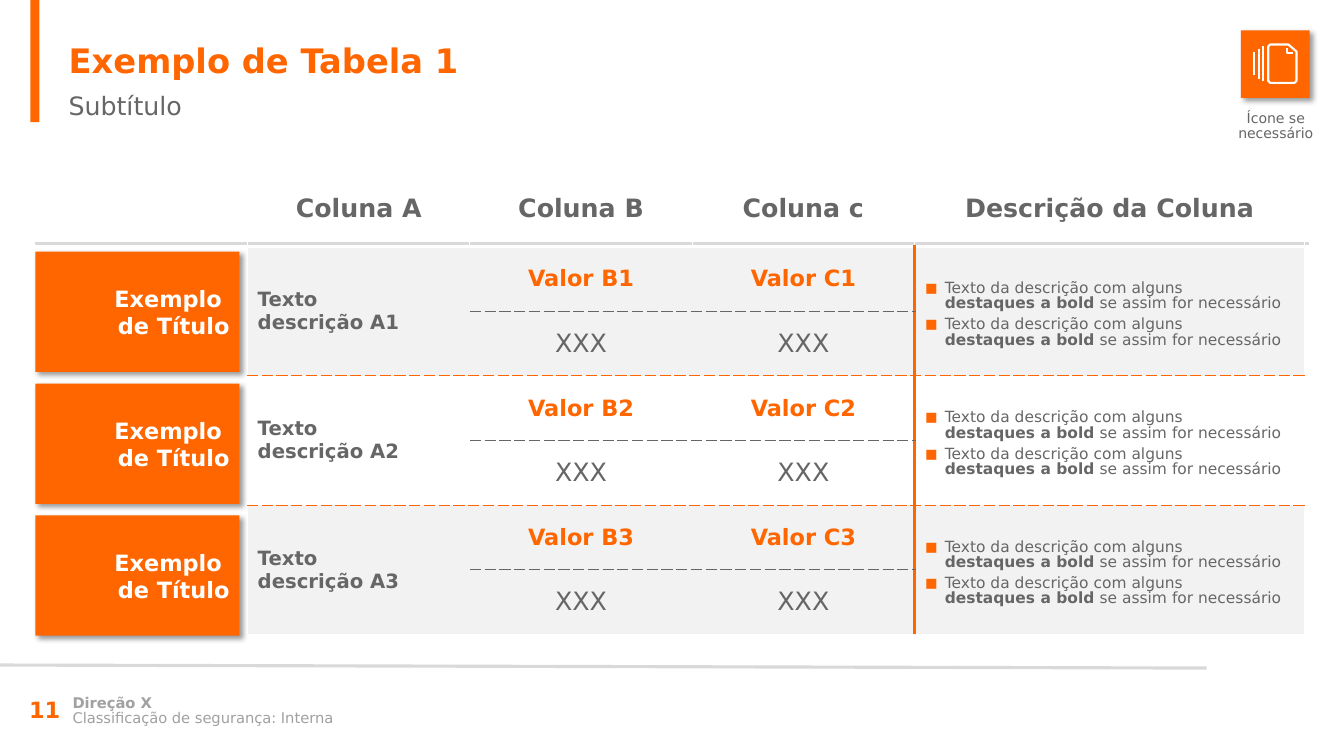
import copy

import lxml.etree
import pptx
import pptx.dml.color
import pptx.enum.shapes
import pptx.enum.text
import pptx.oxml
import pptx.oxml.ns
import pptx.util

Inches = pptx.util.Inches
Pt = pptx.util.Pt
RGBColor = pptx.dml.color.RGBColor
Align = pptx.enum.text.PP_ALIGN
Anchor = pptx.enum.text.MSO_ANCHOR

ORANGE = RGBColor(0xFF, 0x66, 0x00)
GRAY = RGBColor(0x66, 0x66, 0x66)
FOOTER_GRAY = RGBColor(0xA1, 0xA1, 0xA1)
RULE_GRAY = RGBColor(0xD9, 0xD9, 0xD9)
BAND = RGBColor(0xF2, 0xF2, 0xF2)
WHITE = RGBColor(0xFF, 0xFF, 0xFF)


class SlideBuilder:
    """Hold the style and the current slide, and draw each kind of element."""

    font_name = "DejaVu Sans"

    def __init__(self, page):
        self.page = page

    def child(self, parent, tag, **values):
        element = lxml.etree.SubElement(parent, pptx.oxml.ns.qn(tag))
        for name, value in values.items():
            element.set(name, str(value))
        return element

    def add_spans(self, para, spans, size, color, bold=False, **layout):
        for name, value in layout.items():
            setattr(para, name, value)
        for text, emphasis in spans if isinstance(spans, list) else [(spans, bold)]:
            for index, piece in enumerate(text.split("\n")):
                if index:
                    para.add_line_break()
                    para._p[-1].append(copy.deepcopy(span._r.rPr))
                if not piece:
                    continue
                span = para.add_run()
                span.text = piece
                style = {"name": self.font_name, "size": Pt(size), "bold": emphasis}
                for name, value in style.items():
                    setattr(span.font, name, value)
                span.font.color.rgb = color

    def fill_text(self, box, place, text, size, color, anchor=Anchor.MIDDLE, **style):
        for name, value in zip(("left", "top", "width", "height"), place):
            setattr(box, name, Inches(value))
        frame = box.text_frame
        format_values = {
            "word_wrap": True,
            "vertical_anchor": anchor,
            "auto_size": pptx.enum.text.MSO_AUTO_SIZE.NONE,
        }
        for name, value in format_values.items():
            setattr(frame, name, value)
        self.add_spans(frame.paragraphs[0], text, size, color, **style)

    def title(self, place, text, size, color, **style):
        self.fill_text(self.page.shapes.title, place, text, size, color, **style)

    def text(self, place, text, size, color, **style):
        box = self.page.shapes.add_textbox(0, 0, 0, 0)
        self.fill_text(box, place, text, size, color, **style)

    def rectangle(self, place, shadow=True):
        box = self.page.shapes.add_shape(
            pptx.enum.shapes.MSO_SHAPE.RECTANGLE, *map(Inches, place))
        box.fill.solid()
        box.fill.fore_color.rgb = ORANGE
        box.line.fill.background()
        box.shadow.inherit = False
        if shadow:
            effects = box._element.spPr.find(pptx.oxml.ns.qn("a:effectLst"))
            outer = self.child(effects, "a:outerShdw", blurRad=Pt(4), dist=Pt(3),
                               dir=2700000, algn="tl", rotWithShape=0)
            tone = self.child(outer, "a:srgbClr", val="000000")
            self.child(tone, "a:alpha", val=40000)
        return box

    def line(self, start, end, color, width):
        rule = self.page.shapes.add_connector(
            pptx.enum.shapes.MSO_CONNECTOR.STRAIGHT, *map(Inches, start + end))
        rule.line.color.rgb = color
        rule.line.width = Pt(width)
        self.child(rule._element.spPr, "a:effectLst")

    def outline(self, points, close):
        corners = [(Inches(x), Inches(y)) for x, y in points]
        builder = self.page.shapes.build_freeform(*corners[0])
        builder.add_line_segments(corners[1:], close=close)
        shape = builder.convert_to_shape()
        shape.fill.background()
        shape.line.color.rgb = WHITE
        shape.line.width = Pt(1.5)
        shape.shadow.inherit = False

    def table(self, place, widths, heights):
        grid = self.page.shapes.add_table(
            len(heights), len(widths), *map(Inches, place)).table
        grid.first_row = grid.horz_banding = False
        for column, width in zip(grid.columns, widths):
            column.width = Inches(width)
        for row, height in zip(grid.rows, heights):
            row.height = Inches(height)
        return grid

    def cell_format(self, cell, borders, fill):
        properties = cell._tc.get_or_add_tcPr()
        for side, border in zip("LRTB", borders):
            color, width, dash = border or (None, 0, None)
            edge = self.child(properties, "a:ln" + side, w=Pt(width))
            if color is None:
                self.child(edge, "a:noFill")
                continue
            solid = self.child(edge, "a:solidFill")
            self.child(solid, "a:srgbClr", val=color)
            self.child(edge, "a:prstDash", val=dash)
        if fill is None:
            cell.fill.background()
        else:
            cell.fill.solid()
            cell.fill.fore_color.rgb = fill
        cell.vertical_anchor = Anchor.MIDDLE

    def cell_text(self, cell, text, size, color, bold=False, alignment=Align.CENTER):
        self.add_spans(cell.text_frame.paragraphs[0], text, size, color, bold,
                       alignment=alignment)

    def cell_bullets(self, cell, items, size, color):
        cell.margin_top = Inches(0.12)
        for index, spans in enumerate(items):
            frame = cell.text_frame
            para = frame.add_paragraph() if index else frame.paragraphs[0]
            properties = para._p.get_or_add_pPr()
            properties.set("marL", str(Inches(0.2)))
            properties.set("indent", str(-Inches(0.2)))
            tone = self.child(properties, "a:buClr")
            self.child(tone, "a:srgbClr", val=ORANGE)
            self.child(properties, "a:buSzPct", val=130000)
            self.child(properties, "a:buFont", typeface=self.font_name)
            self.child(properties, "a:buChar", char="▪")
            self.add_spans(para, spans, size, color, line_spacing=0.85,
                           space_after=Pt(4))


def add_value_table(builder):
    """Draw the value table with its three two-row groups."""
    grid = builder.table((2.45, 1.7, 10.46, 4.58), (2.2, 2.2, 2.2, 3.86),
                         [0.74] + [0.64] * 6)
    thin, thick = (WHITE, 1, "solid"), (WHITE, 3, "solid")
    divider = (ORANGE, 3, "solid")
    group_dash, value_dash = (ORANGE, 0.75, "dash"), (GRAY, 0.75, "dash")
    levels = [thin, thick, value_dash, group_dash, value_dash, group_dash,
              value_dash, thin]
    for row in range(7):
        for column in range(4):
            top, bottom = row, row + 1
            if row and column in (0, 3):
                top = row - (row - 1) % 2
                bottom = top + 2
            verticals = [thin, None, None, divider, thin] if row else [thin] * 5
            borders = (verticals[column], verticals[column + 1],
                       levels[top], levels[bottom])
            fill = (WHITE if row in (3, 4) else BAND) if row else None
            builder.cell_format(grid.cell(row, column), borders, fill)
    headings = ("Coluna A", "Coluna B", "Coluna c", "Descrição da Coluna")
    for column, heading in enumerate(headings):
        builder.cell_text(grid.cell(0, column), heading, 18, GRAY, True)
    description = [("Texto da descrição com alguns \n", False),
                   ("destaques a bold", True), (" se assim for necessário", False)]
    for group in (1, 2, 3):
        row = 2 * group - 1
        for column in (0, 3):
            grid.cell(row, column).merge(grid.cell(row + 1, column))
        builder.cell_text(grid.cell(row, 0), f"Texto \ndescrição A{group}", 14, GRAY,
                          True, Align.LEFT)
        for column, letter in ((1, "B"), (2, "C")):
            builder.cell_text(grid.cell(row, column), f"Valor {letter}{group}", 16,
                              ORANGE, True)
            builder.cell_text(grid.cell(row + 1, column), "XXX", 18, GRAY)
        builder.cell_bullets(grid.cell(row, 3), [description] * 2, 11, GRAY)


def main():
    """Build the slide and save the deck."""
    deck = pptx.Presentation()
    deck.slide_width, deck.slide_height = Inches(13.3), Inches(7.48)
    builder = SlideBuilder(deck.slides.add_slide(deck.slide_layouts[5]))

    builder.rectangle((0.3, 0, 0.09, 1.21), shadow=False)
    builder.line((0, 6.58), (11.94, 6.61), RULE_GRAY, 2.25)
    builder.line((0.35, 2.41), (12.95, 2.41), RULE_GRAY, 2.25)
    footer = (("Direção X", 6.84, True),
              ("Classificação de segurança: Interna", 6.99, False))
    for text, top, bold in footer:
        builder.text((0.62, top, 7.53, 0.25), text, 10.5, FOOTER_GRAY, bold=bold,
                     line_spacing=0.85)
    builder.text((0.19, 6.82, 0.69, 0.4), "11", 16, ORANGE, bold=True)
    builder.title((0.58, 0.34, 12.42, 0.91), "Exemplo de Tabela 1", 24, ORANGE,
                  anchor=Anchor.TOP, bold=True, alignment=Align.LEFT)
    builder.text((0.58, 0.84, 12.42, 0.71), "Subtítulo", 18, GRAY, anchor=Anchor.TOP)

    for index in range(3):
        place = (0.35, 2.49 + 1.305 * index, 2.02, 1.19)
        builder.fill_text(builder.rectangle(place), place, "Exemplo \nde Título", 16,
                          WHITE, bold=True, alignment=Align.RIGHT)
    add_value_table(builder)

    builder.rectangle((12.28, 0.3, 0.68, 0.67))
    builder.text((12.04, 1.06, 1.17, 0.39), "Ícone se necessário", 10, GRAY,
                 alignment=Align.CENTER, line_spacing=0.85)
    builder.outline([(12.57, 0.44), (12.75, 0.44), (12.83, 0.51), (12.83, 0.8),
                     (12.81, 0.82), (12.57, 0.82), (12.55, 0.8), (12.55, 0.46)], True)
    builder.outline([(12.8, 0.52), (12.74, 0.52), (12.74, 0.47)], False)
    for x, top, bottom in ((12.5, 0.46, 0.8), (12.46, 0.48, 0.78), (12.41, 0.51, 0.74)):
        builder.line((x, top), (x, bottom), WHITE, 1.5)
    deck.save("out.pptx")


if __name__ == "__main__":
    main()
